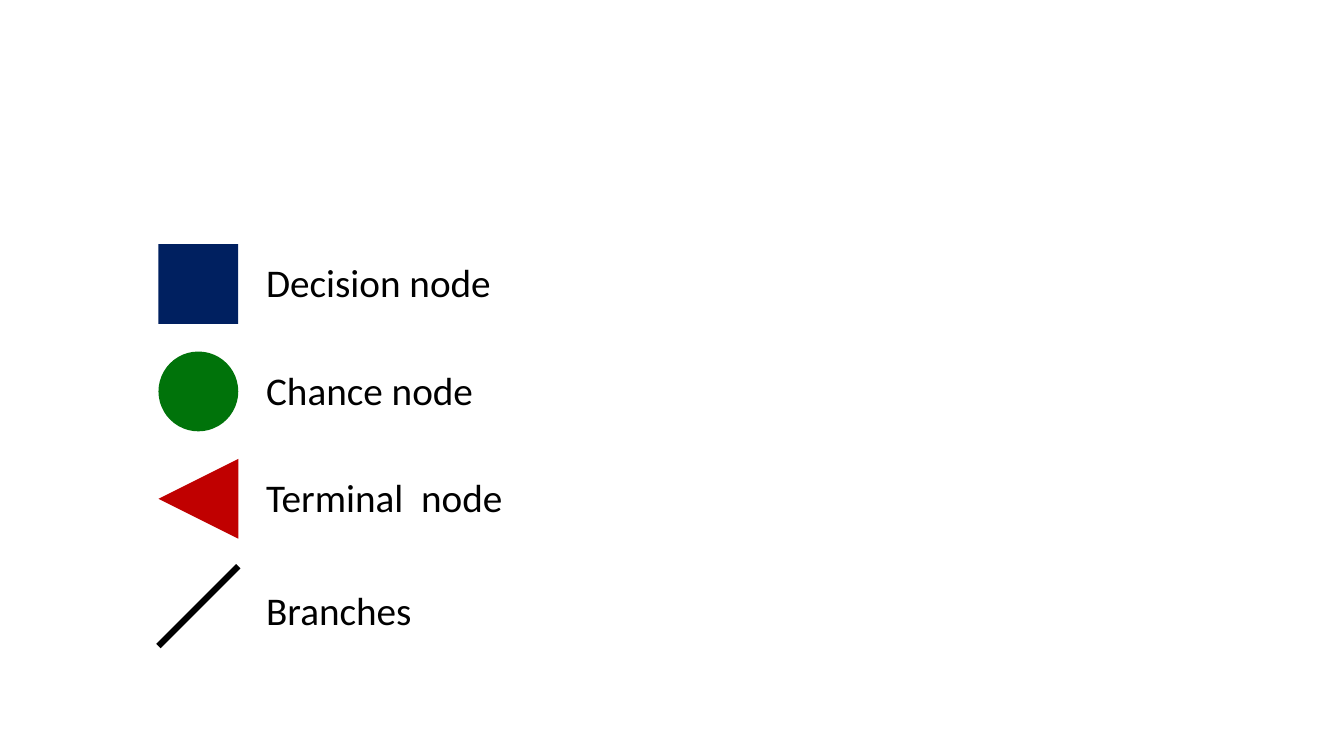
"""Build the slide that explains the symbols of a decision tree."""
import dataclasses

import pptx
import pptx.dml.color
import pptx.enum.shapes
import pptx.oxml
import pptx.oxml.ns
import pptx.util

Pt = pptx.util.Pt
RGB = pptx.dml.color.RGBColor.from_string
SHAPES = pptx.enum.shapes.MSO_SHAPE


@dataclasses.dataclass(frozen=True)
class Theme:
    decision: str = "002060"
    chance: str = "00730A"
    terminal: str = "C00000"
    ink: str = "000000"
    font: str = "Calibri"
    label_size: float = 28
    line_spacing: float = 0.9
    branch_width: float = 4.5


def write_paragraph(para, text, *, size, color, font, line_spacing, space_before):
    para.line_spacing = line_spacing
    para.space_before = Pt(space_before)
    span = para.add_run()
    span.text = text
    span.font.size = Pt(size)
    span.font.name = font
    span.font.color.rgb = RGB(color)


class SlideBuilder:
    def __init__(self, page, theme):
        self.page = page
        self.theme = theme

    def node(self, kind, left, top, size, color, rotation=0):
        shape = self.page.shapes.add_shape(kind, Pt(left), Pt(top), Pt(size), Pt(size))
        shape.shadow.inherit = False
        shape.rotation = rotation
        shape.fill.solid()
        shape.fill.fore_color.rgb = RGB(color)
        shape.line.fill.background()

    def branch(self, start_x, start_y, end_x, end_y):
        line = self.page.shapes.add_connector(
            pptx.enum.shapes.MSO_CONNECTOR.STRAIGHT,
            Pt(start_x), Pt(start_y), Pt(end_x), Pt(end_y),
        )
        line.line.color.rgb = RGB(self.theme.ink)
        line.line.width = Pt(self.theme.branch_width)
        properties = line._element.spPr
        properties.append(pptx.oxml.parse_xml(f"<a:effectLst {pptx.oxml.ns.nsdecls('a')}/>"))

    def labels(self, left, top, width, height, entries):
        box = self.page.shapes.add_textbox(Pt(left), Pt(top), Pt(width), Pt(height))
        frame = box.text_frame
        frame.word_wrap = True
        for index, (text, space_before) in enumerate(entries):
            para = frame.add_paragraph() if index else frame.paragraphs[0]
            write_paragraph(
                para, text, size=self.theme.label_size, color=self.theme.ink,
                font=self.theme.font, line_spacing=self.theme.line_spacing,
                space_before=space_before,
            )


def main():
    deck = pptx.Presentation()
    deck.slide_width, deck.slide_height = Pt(960), Pt(540)
    theme = Theme()
    builder = SlideBuilder(deck.slides.add_slide(deck.slide_layouts[6]), theme)

    builder.labels(183, 185, 198, 276, [
        ("Decision node", 0),
        ("Chance node", 46.4),
        ("Terminal  node", 46.4),
        ("Branches", 50.8),
    ])

    left, top, size, pitch = 113.2, 174.4, 57, 76.7
    nodes = [
        (SHAPES.RECTANGLE, theme.decision, 0),
        (SHAPES.OVAL, theme.chance, 0),
        (SHAPES.ISOSCELES_TRIANGLE, theme.terminal, 270),
    ]
    for row, (kind, color, rotation) in enumerate(nodes):
        builder.node(kind, left, top + row * pitch, size, color, rotation)
    branch_top = top + len(nodes) * pitch
    builder.branch(left + size, branch_top, left, branch_top + size)

    deck.save("out.pptx")


if __name__ == "__main__":
    main()
